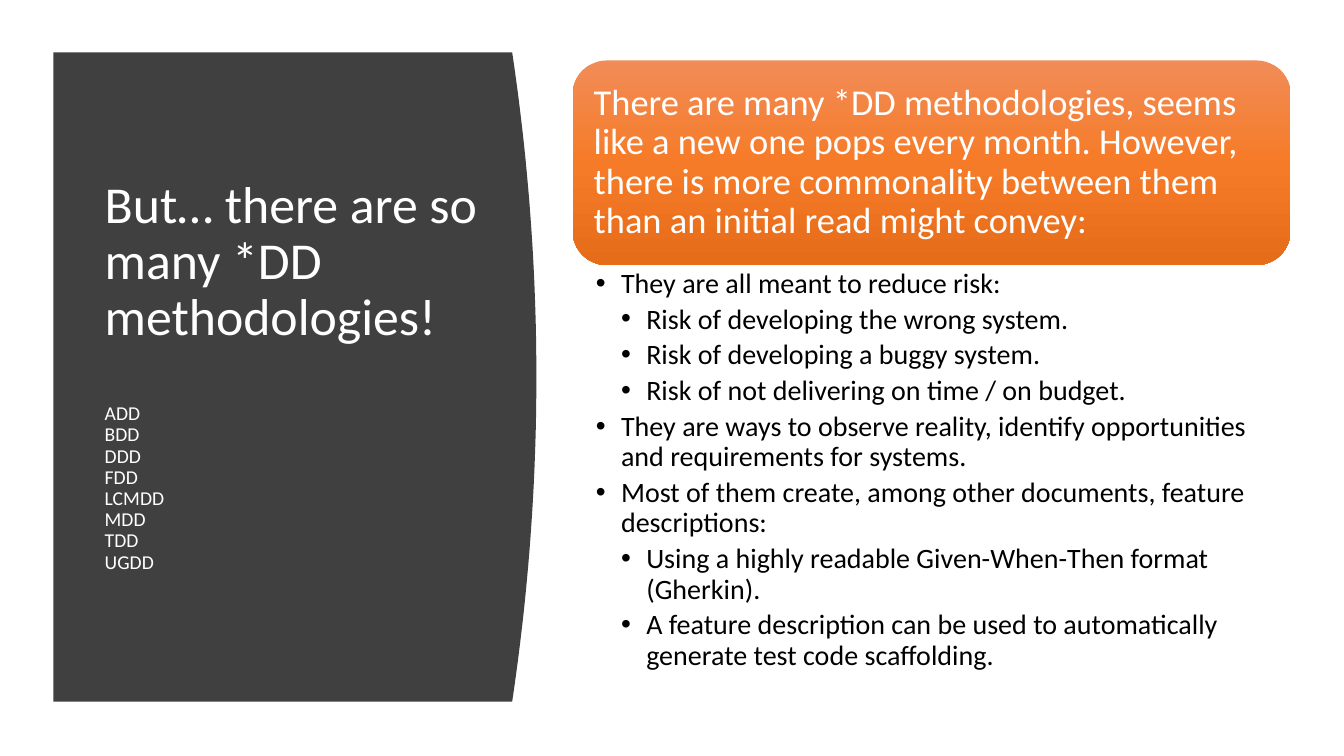
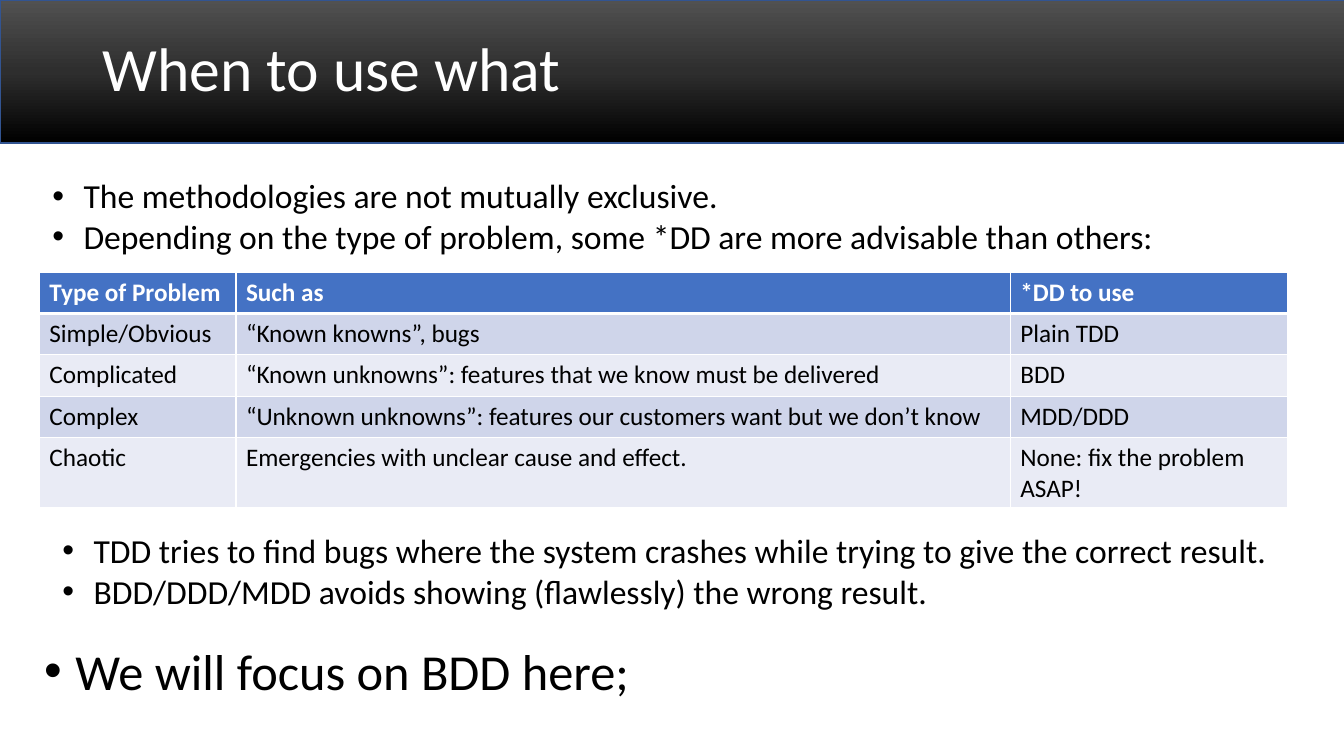
from copy import deepcopy

from lxml.etree import SubElement
from pptx import Presentation
from pptx.dml.color import RGBColor
from pptx.enum.shapes import MSO_SHAPE as SHAPE
from pptx.enum.text import MSO_ANCHOR as ANCHOR, PP_ALIGN as ALIGN
from pptx.oxml.ns import qn
from pptx.util import Inches, Pt

FONT = "Calibri"
WHITE = RGBColor(0xFF, 0xFF, 0xFF)
BLACK = RGBColor(0, 0, 0)
DARK = RGBColor(0x40, 0x40, 0x40)
BLUE = RGBColor(0x44, 0x72, 0xC4)
EDGE = RGBColor(0x32, 0x54, 0x91)
STRIPES = RGBColor(0xCF, 0xD5, 0xEA), RGBColor(0xE9, 0xEB, 0xF5)
ORANGE = [RGBColor(0xF1, 0x8C, 0x57), RGBColor(0xF6, 0x7B, 0x28), RGBColor(0xE5, 0x6C, 0x19)]
NIGHT = [RGBColor(0x51, 0x51, 0x51), RGBColor(0x2E, 0x2E, 0x2E), BLACK]

KINDS = ["ADD", "BDD", "DDD", "FDD", "LCMDD", "MDD", "TDD", "UGDD"]
CLAIM = ("There are many *DD methodologies, seems like a new one pops every month. "
         "However, there is more commonality between them than an initial read might convey:")
POINTS = [
    (1, "They are all meant to reduce risk:"),
    (2, "Risk of developing the wrong system."),
    (2, "Risk of developing a buggy system."),
    (2, "Risk of not delivering on time / on budget."),
    (1, "They are ways to observe reality, identify opportunities and requirements for systems."),
    (1, "Most of them create, among other documents, feature descriptions:"),
    (2, "Using a highly readable Given-When-Then format (Gherkin)."),
    (2, "A feature description can be used to automatically generate test code scaffolding."),
]
ROWS = [
    ("Type of Problem", "Such as", "*DD to use"),
    ("Simple/Obvious", "“Known knowns”, bugs", "Plain TDD"),
    ("Complicated", "“Known unknowns”: features that we know must be delivered", "BDD"),
    ("Complex", "“Unknown unknowns”: features our customers want but we don’t know", "MDD/DDD"),
    ("Chaotic", "Emergencies with unclear cause and effect.", "None: fix the problem ASAP!"),
]
NOTES = [
    (0.42, 1.69, 0.91, 24, [
        "The methodologies are not mutually exclusive.",
        "Depending on the type of problem, some *DD are more advisable than others:"]),
    (0.52, 5.21, 0.91, 24, [
        "TDD tries to find bugs where the system crashes while trying to give the correct result.",
        "BDD/DDD/MDD avoids showing (flawlessly) the wrong result."]),
    (0.34, 6.3, 0.71, 36, ["We will focus on BDD here;"]),
]


def set_frame(frame, anchor=ANCHOR.TOP, insets=(0.1, 0.05, 0.1, 0.05)):
    frame.word_wrap = True
    frame.vertical_anchor = anchor
    (frame.margin_left, frame.margin_top,
     frame.margin_right, frame.margin_bottom) = map(Inches, insets)
    return frame


def add_box(slide, place, **options):
    box = slide.shapes.add_textbox(*map(Inches, place))
    return set_frame(box.text_frame, **options)


def add_text(frame, text, size, color, bold=False, spacing=None, before=0, after=0, left=0, hang=0):
    """Fill the empty first paragraph or append one; hang gives it a bullet."""
    first = frame.paragraphs[0]
    para = frame.add_paragraph() if first.runs else first
    if hang:
        props = para._p.get_or_add_pPr()
        props.set("marL", str(Inches(left)))
        props.set("indent", str(-Inches(hang)))
        SubElement(props, qn("a:buFont"), typeface="Arial")
        SubElement(props, qn("a:buChar"), char="•")
    para.alignment = ALIGN.LEFT
    if spacing:
        para.line_spacing = spacing
    if before:
        para.space_before = Pt(before)
    if after:
        para.space_after = Pt(after)
    run = para.add_run()
    run.text = text
    font = run.font
    font.name, font.size, font.bold = FONT, Pt(size), bold
    font.color.rgb = color


def add_title(slide, text, size, place):
    frame = add_box(slide, place, anchor=ANCHOR.MIDDLE)
    add_text(frame, text, size, WHITE, spacing=0.9)
    return frame


def add_blend(slide, kind, place, colors):
    """Add a shape shaded from top to bottom through evenly spaced colours."""
    shape = slide.shapes.add_shape(kind, *map(Inches, place))
    shape.shadow.inherit = False
    fill = shape.fill
    fill.gradient()
    fill.gradient_angle = 270
    stops = shape._element.spPr.find(qn("a:gradFill")).find(qn("a:gsLst"))
    stops.insert(1, deepcopy(stops[0]))
    for num, (stop, color) in enumerate(zip(fill.gradient_stops, colors)):
        stop.position = num / (len(colors) - 1)
        stop.color.rgb = color
    return shape


def add_panel(slide):
    """Add the dark panel with a bowed right side."""
    left, side, bow, top, base, steps = 0.53, 5.08, 0.24, 0.52, 6.96, 48
    curve = []
    for num in range(steps + 1):
        part = num / steps
        x = side + bow * (1 - (2 * part - 1) ** 2)
        curve.append((Inches(x), Inches(top + part * (base - top))))
    form = slide.shapes.build_freeform(Inches(left), Inches(top))
    form.add_line_segments(curve + [(Inches(left), Inches(base))], close=True)
    panel = form.convert_to_shape()
    panel.shadow.inherit = False
    panel.fill.solid()
    panel.fill.fore_color.rgb = DARK
    panel.line.fill.background()


def set_edges(cell, top, base):
    props = cell._tc.get_or_add_tcPr()
    for side, width in zip("LRTB", (1, 1, top, base)):
        line = SubElement(props, qn(f"a:ln{side}"), w=str(Pt(width)))
        SubElement(SubElement(line, qn("a:solidFill")), qn("a:srgbClr"), val=str(WHITE))


def add_grid(slide, place, widths, heights):
    table = slide.shapes.add_table(len(ROWS), len(widths), *map(Inches, place)).table
    for col, width in zip(table.columns, widths):
        col.width = Inches(width)
    for num, (row, height, texts) in enumerate(zip(table.rows, heights, ROWS)):
        row.height = Inches(height)
        head = num == 0
        for cell, text in zip(row.cells, texts):
            set_edges(cell, 3 if num == 1 else 1, 3 if head else 1)
            cell.fill.solid()
            cell.fill.fore_color.rgb = BLUE if head else STRIPES[(num - 1) % 2]
            add_text(cell.text_frame, text, 18, WHITE if head else BLACK, bold=head)


def add_many(slide):
    add_panel(slide)
    frame = add_title(slide, "But… there are so many *DD methodologies!", 37,
                      (0.94, 1.11, 4.01, 5.24))
    for num, kind in enumerate(KINDS):
        add_text(frame, kind, 14, WHITE, spacing=0.9, before=0 if num else 41)
    card = add_blend(slide, SHAPE.ROUNDED_RECTANGLE, (5.68, 0.6, 7.12, 2.03), ORANGE)
    card.line.fill.background()
    frame = set_frame(card.text_frame, ANCHOR.MIDDLE, (0.11,) * 4)
    add_text(frame, CLAIM, 26, WHITE, spacing=0.9)
    frame = add_box(slide, (5.68, 2.63, 7.12, 4.24), insets=(0.23, 0.04, 0.2, 0.04))
    for level, text in POINTS:
        add_text(frame, text, 20, BLACK, spacing=0.9, after=4, left=level * 0.25, hang=0.25)


def add_when(slide):
    band = add_blend(slide, SHAPE.RECTANGLE, (0, 0, 13.39, 1.42), NIGHT)
    band.line.color.rgb = EDGE
    band.line.width = Pt(1)
    add_title(slide, "When to use what", 44, (0.92, 0.33, 11.5, 0.76))
    add_grid(slide, (0.39, 2.7, 12.38, 2.32), (1.95, 7.68, 2.75), [0.41] * 4 + [0.68])
    for left, top, height, size, texts in NOTES:
        frame = add_box(slide, (left, top, 12.48, height))
        for text in texts:
            add_text(frame, text, size, BLACK, left=0.31, hang=0.31)


def main():
    deck = Presentation()
    deck.slide_width, deck.slide_height = Inches(13.33), Inches(7.5)
    for build in (add_many, add_when):
        build(deck.slides.add_slide(deck.slide_layouts[6]))
    deck.save("out.pptx")


if __name__ == "__main__":
    main()
